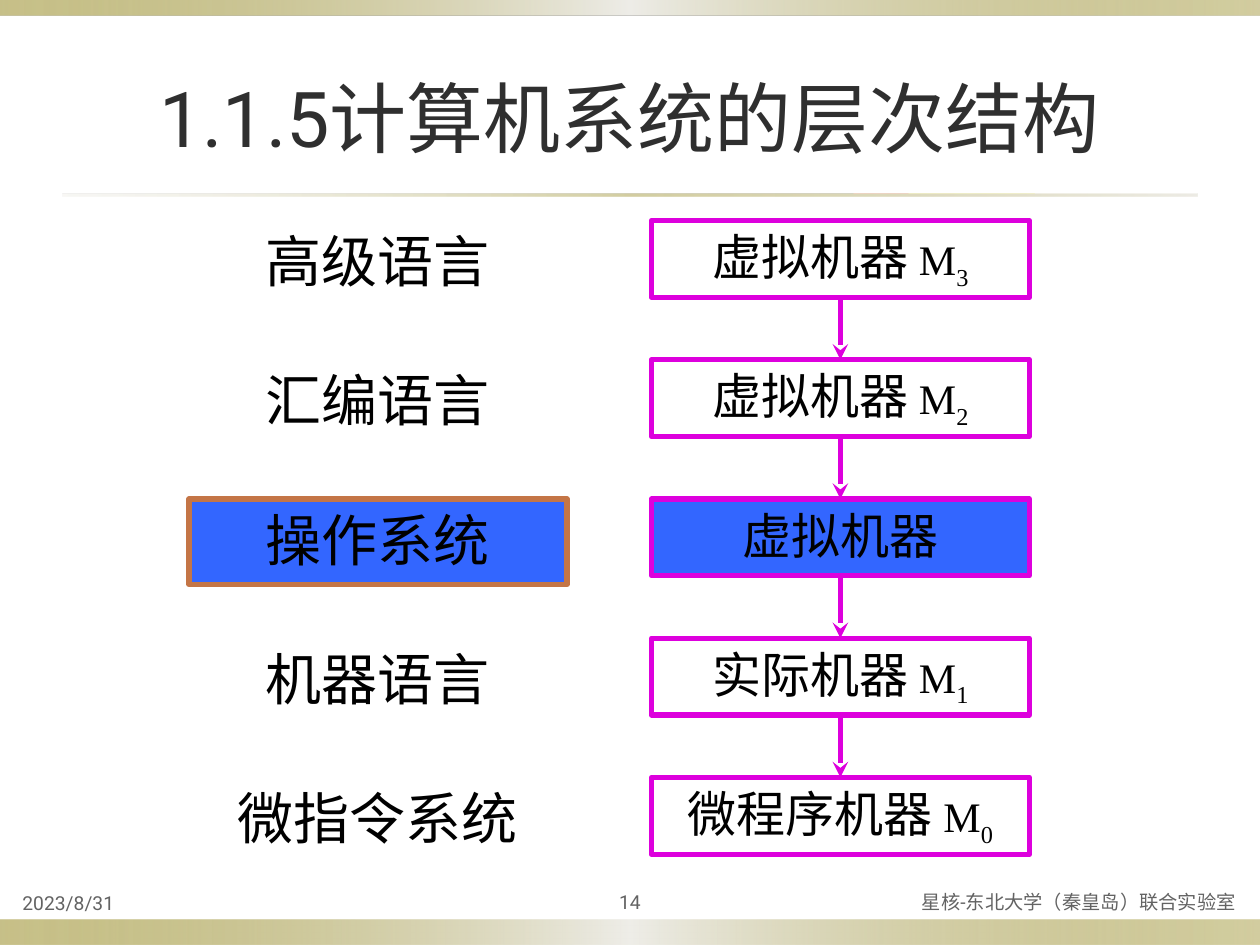
from lxml import etree
from pptx import Presentation
from pptx.dml.color import RGBColor
from pptx.enum.shapes import MSO_CONNECTOR, MSO_SHAPE
from pptx.enum.text import MSO_ANCHOR, PP_ALIGN
from pptx.oxml.ns import qn
from pptx.util import Inches, Pt

RECTANGLE = MSO_SHAPE.RECTANGLE
STRAIGHT = MSO_CONNECTOR.STRAIGHT
TOP, MIDDLE, BOTTOM = MSO_ANCHOR.TOP, MSO_ANCHOR.MIDDLE, MSO_ANCHOR.BOTTOM
LEFT, CENTER, RIGHT = PP_ALIGN.LEFT, PP_ALIGN.CENTER, PP_ALIGN.RIGHT

COLORS = {
    "title": "2F2F2F", "footer": "636363", "text": "000000",
    "olive": "918415", "pale": "EEEDE8", "rule": "DCD9CC",
    "magenta": "DD00DD", "orange": "C47546", "blue": "3366FF",
}

presentation = Presentation()
presentation.slide_width = Inches(10)
presentation.slide_height = Inches(7.5)
slide = presentation.slides.add_slide(presentation.slide_layouts[6])


def write_text(shape, runs, color, alignment=CENTER, anchor=TOP):
    frame = shape.text_frame
    frame_format = {"word_wrap": True, "vertical_anchor": anchor}
    for name, value in frame_format.items():
        setattr(frame, name, value)
    paragraph = frame.paragraphs[0]
    paragraph.alignment = alignment
    for text, size, font_name, baseline in runs:
        run = paragraph.add_run()
        run.text = text
        for name, value in {"size": Pt(size), "name": font_name}.items():
            setattr(run.font, name, value)
        run.font.color.rgb = RGBColor.from_string(COLORS[color])
        if baseline:
            run._r.get_or_add_rPr().set("baseline", str(baseline * 1000))


def add_box(left, top, width, height, fill=None, line=None):
    box = slide.shapes.add_shape(
        RECTANGLE, Inches(left), Inches(top), Inches(width), Inches(height))
    box.shadow.inherit = False
    if fill:
        box.fill.solid()
        box.fill.fore_color.rgb = RGBColor.from_string(COLORS[fill])
    else:
        box.fill.background()
    if line:
        box.line.color.rgb = RGBColor.from_string(COLORS[line])
        box.line.width = Pt(3)
    else:
        box.line.fill.background()
    return box


band_stops = [(0, "olive", 50), (50, "pale", 100), (100, "olive", 40)]
rule_stops = [(0, "rule", 20), (50, "olive", 40), (100, "rule", 50)]
bands = [
    (0, 7.3, 10, 0.2, band_stops),
    (0, 0, 10, 0.12, band_stops),
    (0.5, 1.54, 9, 0.02, rule_stops),
]
for left, top, width, height, stops in bands:
    band = add_box(left, top, width, height)
    band.fill.gradient()
    band.fill.gradient_angle = 0
    stop_list = band.fill._fill._gradFill.find(qn("a:gsLst"))
    for old_stop in list(stop_list):
        stop_list.remove(old_stop)
    for position, color, opacity in stops:
        stop = etree.SubElement(stop_list, qn("a:gs"), pos=str(position * 1000))
        tint = etree.SubElement(stop, qn("a:srgbClr"), val=COLORS[color])
        etree.SubElement(tint, qn("a:alpha"), val=str(opacity * 1000))

texts = [
    (0.5, 0.3, 9, 1.25, "1.1.5计算机系统的层次结构", 44, "title", CENTER, MIDDLE),
    (0.08, 7, 3.5, 0.31, "2023/8/31", 11, "footer", LEFT, BOTTOM),
    (5.83, 7, 4.08, 0.31, "星核-东北大学（秦皇岛）联合实验室", 11, "footer", RIGHT, MIDDLE),
    (4.5, 7, 1, 0.31, "14", 11, "footer", CENTER, MIDDLE),
]
for left, top, width, height, text, size, color, alignment, anchor in texts:
    text_box = slide.shapes.add_textbox(
        Inches(left), Inches(top), Inches(width), Inches(height))
    write_text(text_box, [(text, size, "Roboto", 0)], color, alignment, anchor)

levels = [
    ("高级语言", "虚拟机器", "3"),
    ("汇编语言", "虚拟机器", "2"),
    ("操作系统", "虚拟机器", ""),
    ("机器语言", "实际机器", "1"),
    ("微指令系统", "微程序机器", "0"),
]
first_top, last_top = 1.75, 6.17
pitch = (last_top - first_top) / (len(levels) - 1)
language_left, machine_left, box_width, machine_height = 1.5, 5.17, 3, 0.61
machine_center = machine_left + box_width / 2

for row in range(len(levels) - 1):
    top = first_top + row * pitch
    arrow = slide.shapes.add_connector(
        STRAIGHT, Inches(machine_center), Inches(top + machine_height + 0.02),
        Inches(machine_center), Inches(top + pitch))
    arrow.line.color.rgb = RGBColor.from_string(COLORS["magenta"])
    arrow.line.width = Pt(3)
    etree.SubElement(arrow.line._get_or_add_ln(), qn("a:tailEnd"), type="stealth")
    etree.SubElement(arrow._element.spPr, qn("a:effectLst"))

for row, (language, machine, index) in enumerate(levels):
    top = first_top + row * pitch
    if index:
        language_box = slide.shapes.add_textbox(
            Inches(language_left), Inches(top), Inches(box_width), Inches(0.63))
        fill = None
        runs = [(machine + " ", 28, "Roboto", 0),
                ("M", 24, "Times New Roman", 0),
                (index, 24, "Times New Roman", -25)]
    else:
        fill = "blue"
        language_box = add_box(language_left, top, box_width, 0.68, fill, "orange")
        runs = [(machine, 28, "Roboto", 0)]
    write_text(language_box, [(language, 32, "Roboto", 0)], "text")
    machine_box = add_box(
        machine_left, top, box_width, machine_height, fill, "magenta")
    write_text(machine_box, runs, "text")

presentation.save("out.pptx")
